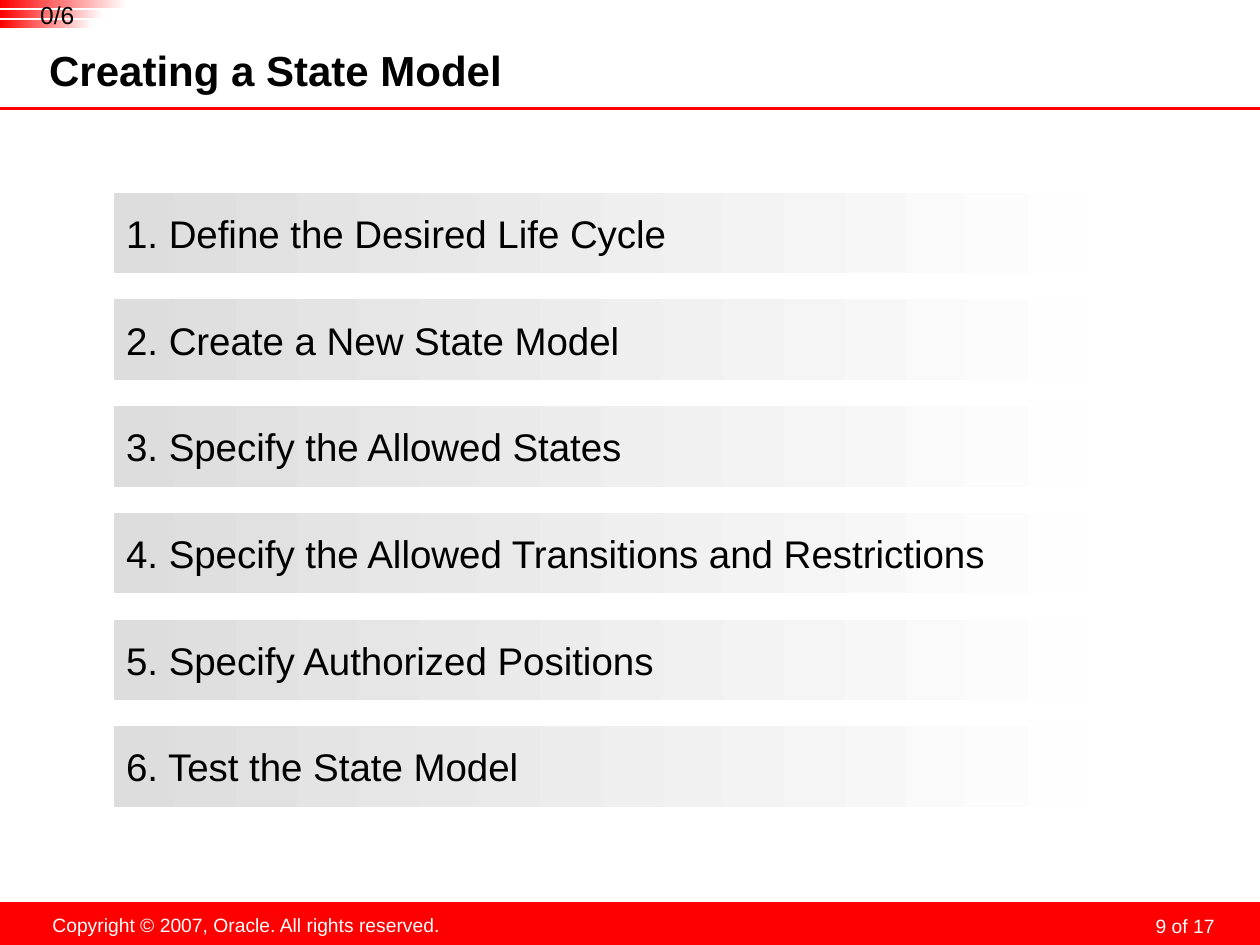
from lxml import etree
from pptx import Presentation
from pptx.dml.color import RGBColor
from pptx.enum.shapes import MSO_CONNECTOR, MSO_SHAPE
from pptx.enum.text import MSO_ANCHOR, PP_ALIGN
from pptx.oxml.ns import qn
from pptx.util import Pt

RECT, ROUND_RECT = MSO_SHAPE.RECTANGLE, MSO_SHAPE.ROUNDED_RECTANGLE
STRAIGHT = MSO_CONNECTOR.STRAIGHT
LEFT, CENTER, RIGHT = PP_ALIGN.LEFT, PP_ALIGN.CENTER, PP_ALIGN.RIGHT
TOP, MIDDLE = MSO_ANCHOR.TOP, MSO_ANCHOR.MIDDLE

FONT = "Arial"
RED, WHITE, BLACK = "FF0000", "FFFFFF", "000000"
BAR_LIGHT, BAR_DARK = "FEFEFE", "DDDDDD"
STEPS = [
    "Define the Desired Life Cycle",
    "Create a New State Model",
    "Specify the Allowed States",
    "Specify the Allowed Transitions and Restrictions",
    "Specify Authorized Positions",
    "Test the State Model",
]


def color(value):
    return RGBColor.from_string(value)


def set_text(s, text, size, ink=BLACK, bold=False, align=LEFT, anchor=TOP,
             insets=(0, 0, 0, 0), wrap=True, line_spacing=None):
    tf = s.text_frame
    left, top, right, bottom = (Pt(v) for v in insets)
    frame = {"margin_left": left, "margin_top": top, "margin_right": right,
             "margin_bottom": bottom, "word_wrap": wrap,
             "vertical_anchor": anchor}
    for name, value in frame.items():
        setattr(tf, name, value)
    p = tf.paragraphs[0]
    p.alignment = align
    if line_spacing:
        p.line_spacing = Pt(line_spacing)
    r = p.add_run()
    r.text = text
    for name, value in {"name": FONT, "size": Pt(size), "bold": bold}.items():
        setattr(r.font, name, value)
    r.font.color.rgb = color(ink)


def add_text(slide, box, text, size, **style):
    s = slide.shapes.add_textbox(*(Pt(v) for v in box))
    set_text(s, text, size, **style)


def add_block(slide, kind, box, *colors):
    """Borderless shape; two colours make a right-to-left gradient."""
    s = slide.shapes.add_shape(kind, *(Pt(v) for v in box))
    s.shadow.inherit = False
    s.line.fill.background()
    if len(colors) == 1:
        s.fill.solid()
        s.fill.fore_color.rgb = color(colors[0])
    else:
        s.fill.gradient()
        s.fill.gradient_angle = 180
        for stop, value in zip(s.fill.gradient_stops, colors):
            stop.color.rgb = color(value)
    return s


def add_footer(slide, x, y, w, h):
    add_block(slide, RECT, (x, y, w, h), RED)
    add_text(slide, (x + 530, y + 2.2, 167.7, 18), "9 of 17", 11, ink=WHITE,
             align=RIGHT, insets=(3.6, 0, 3.6, 0), line_spacing=18)
    add_text(slide, (x + 22.3, y + 2.9, 236.9, 20.9),
             "Copyright © 2007, Oracle. All rights reserved.", 11, ink=WHITE,
             align=CENTER, insets=(7.2, 3.6, 7.2, 3.6), wrap=False)


def add_header(slide, x, y, w, h):
    # Rule along the bottom of the header
    rule = slide.shapes.add_connector(STRAIGHT, Pt(x), Pt(y + h),
                                      Pt(x + w), Pt(y + h))
    rule.line.color.rgb = color(RED)
    rule.line.width = Pt(1.75)
    etree.SubElement(rule._element.spPr, qn("a:effectLst"))
    # Title
    add_text(slide, (x + 28.1, y + 27.4, 566.6, 28.8),
             "Creating a State Model", 24, bold=True, anchor=MIDDLE,
             insets=(0, 0, 3.6, 3.6))


def add_progress(slide, x, y):
    # Fading stripes behind the step counter
    for i, width in enumerate((72.7, 59, 52.6)):
        stripe = add_block(slide, ROUND_RECT, (x, y + i * 5.8, width, 4.6),
                           WHITE, RED)
        stripe.adjustments[0] = 0
    add_text(slide, (x + 14.4, y, 36.7, 16.6), "0/6", 14, align=CENTER)


def add_steps(slide, x, y, w, h):
    bar_h = 46.1
    pitch = (h - bar_h) / (len(STEPS) - 1)
    for i, step in enumerate(STEPS):
        bar = add_block(slide, RECT, (x, y + i * pitch, w, bar_h),
                        BAR_LIGHT, BAR_DARK)
        set_text(bar, f"{i + 1}. {step}", 22, anchor=MIDDLE,
                 insets=(7.2, 3.6, 7.2, 3.6), wrap=False)


def main():
    prs = Presentation()
    prs.slide_width, prs.slide_height = Pt(720), Pt(540)
    slide = prs.slides.add_slide(prs.slide_layouts[6])
    add_footer(slide, 0, 515.5, 720, 24.5)
    add_header(slide, 0, 0, 720, 62.1)
    add_progress(slide, 0, 0)
    add_steps(slide, 65, 110.2, 557.3, 350.9)
    prs.save("out.pptx")


if __name__ == "__main__":
    main()
